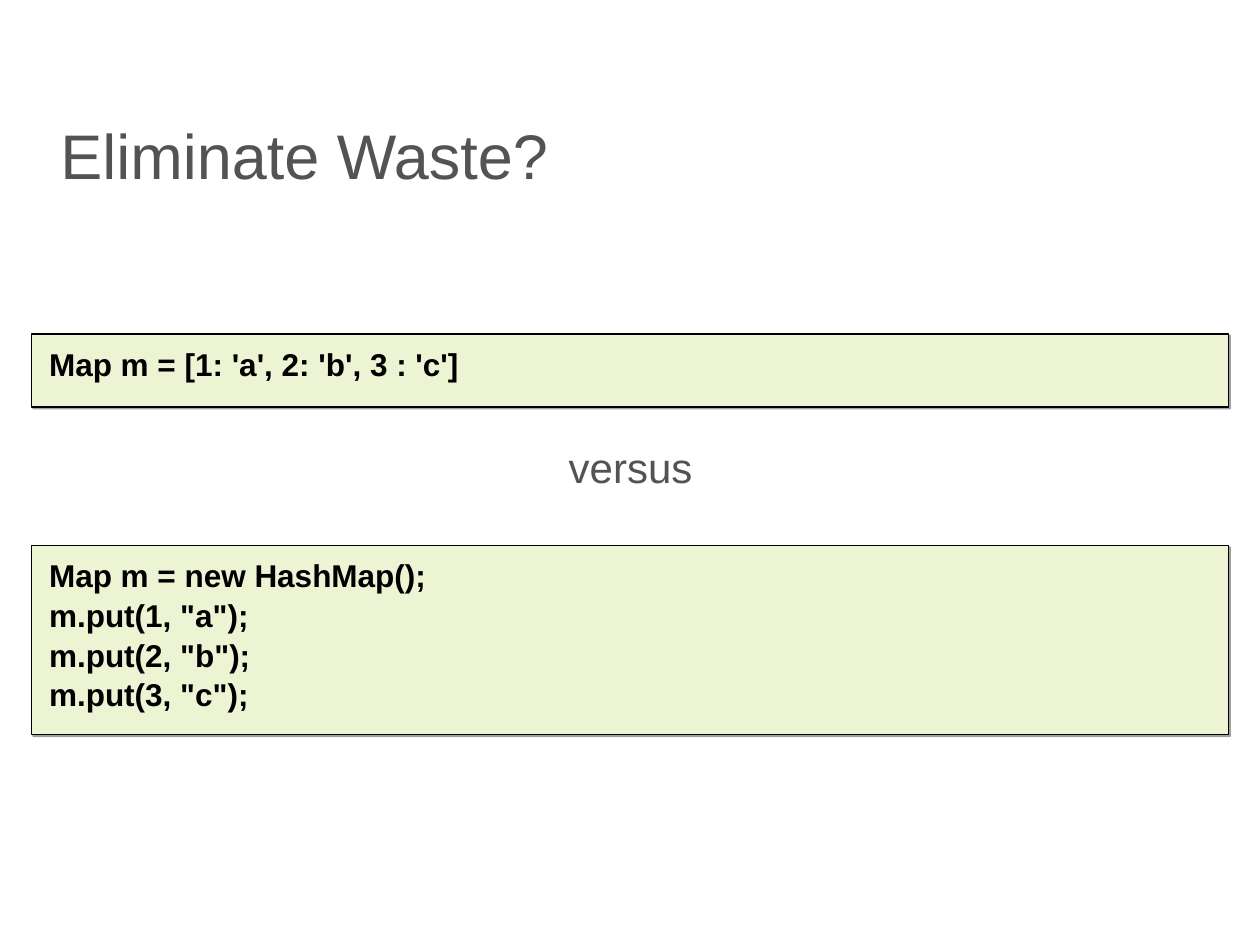
"""Build a slide that compares a short map literal with its longer form."""
import pptx
import pptx.util
import pptx.dml.color
import pptx.enum.shapes
import pptx.enum.text
import lxml.etree

Inches, Pt = pptx.util.Inches, pptx.util.Pt
ALIGN, ANCHOR = pptx.enum.text.PP_ALIGN, pptx.enum.text.MSO_ANCHOR

TITLE = "Eliminate Waste?"
LINK = "versus"
CODE = [
    (2.65, 0.58, ["Map m = [1: 'a', 2: 'b', 3 : 'c']"]),
    (4.33, 1.5, ["Map m = new HashMap();", 'm.put(1, "a");', 'm.put(2, "b");', 'm.put(3, "c");']),
]
LEFT, WIDTH = 0.25, 9.5
GREY, BLACK, GREEN = "535353", "000000", "EDF4D4"
SHADOW = """<a:effectLst xmlns:a="http://schemas.openxmlformats.org/drawingml/2006/main">
<a:outerShdw blurRad="0" dist="17780" dir="2700000" algn="ctr" rotWithShape="0">
<a:srgbClr val="808080"><a:alpha val="75000"/></a:srgbClr></a:outerShdw></a:effectLst>"""


def tint(code):
    return pptx.dml.color.RGBColor.from_string(code)


def place(shape, left, top, width, height):
    shape.left, shape.top, shape.width, shape.height = map(Inches, (left, top, width, height))


def write(shape, lines, size=18, color=BLACK, bold=False, align=ALIGN.LEFT,
          anchor=ANCHOR.MIDDLE, inset=(0.1, 0.05), pitch=1.0):
    frame = shape.text_frame
    frame.word_wrap = True
    frame.auto_size = pptx.enum.text.MSO_AUTO_SIZE.NONE
    frame.vertical_anchor = anchor
    frame.margin_left = frame.margin_right = Inches(inset[0])
    frame.margin_top = frame.margin_bottom = Inches(inset[1])
    frame.text = "\n".join(lines)
    for para in frame.paragraphs:
        para.alignment = align
        para.space_before = Pt(0)
        para.line_spacing = pitch
        for run in para.runs:
            font = run.font
            font.name, font.size, font.bold = "Arial", Pt(size), bold
            font.color.rgb = tint(color)


def panel(slide, top, height, lines):
    box = slide.shapes.add_shape(pptx.enum.shapes.MSO_SHAPE.RECTANGLE, 0, 0, 0, 0)
    place(box, LEFT, top, WIDTH, height)
    box.fill.solid()
    box.fill.fore_color.rgb = tint(GREEN)
    box.line.color.rgb = tint(BLACK)
    box.line.width = Pt(1)
    box._element.spPr.append(lxml.etree.fromstring(SHADOW))
    write(box, lines, bold=True, anchor=ANCHOR.TOP, inset=(0.14, 0.07), pitch=1.05)


def main():
    deck = pptx.Presentation()
    deck.slide_width, deck.slide_height = Inches(10), Inches(7.5)
    slide = deck.slides.add_slide(deck.slide_layouts[0])
    for top, height, lines in CODE:
        panel(slide, top, height, lines)
    title, link = slide.shapes.title, slide.placeholders[1]
    place(title, 0.38, 0.63, 9.21, 1.19)
    write(title, [TITLE], size=36, color=GREY)
    place(link, 0.41, 1.28, 9.19, 4.85)
    write(link, [LINK], size=24, color=GREY, align=ALIGN.CENTER, inset=(0, 0))
    deck.save("out.pptx")


if __name__ == "__main__":
    main()
